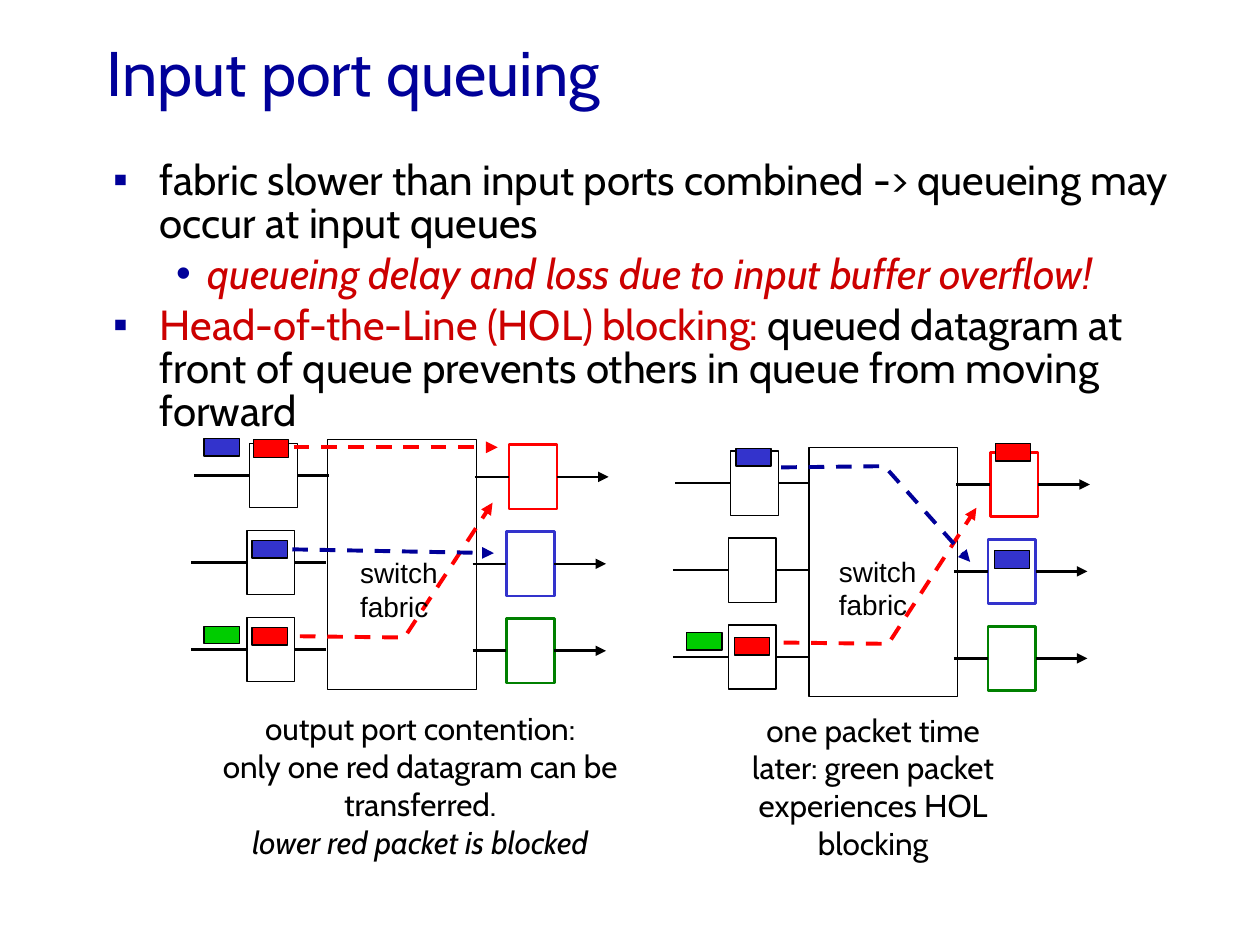
from lxml import etree
from pptx import Presentation
from pptx.dml.color import RGBColor
from pptx.enum.dml import MSO_LINE
from pptx.enum.shapes import MSO_CONNECTOR, MSO_SHAPE
from pptx.enum.text import MSO_ANCHOR, PP_ALIGN
from pptx.oxml.ns import qn
from pptx.util import Inches, Pt

RECT = MSO_SHAPE.RECTANGLE
STRAIGHT = MSO_CONNECTOR.STRAIGHT
DASH = MSO_LINE.DASH
MIDDLE = MSO_ANCHOR.MIDDLE
CENTER = PP_ALIGN.CENTER
LEFT_SIDE, RIGHT_SIDE = 1, 3

BLACK = RGBColor(0, 0, 0)
WHITE = RGBColor(255, 255, 255)
NAVY = RGBColor(0, 0, 0x99)
CRIMSON = RGBColor(0xCC, 0, 0)
RED = RGBColor(255, 0, 0)
BLUE = RGBColor(0x33, 0x33, 0xCC)
GREEN = RGBColor(0, 0x80, 0)
LIME = RGBColor(0, 0xCC, 0)

PORT_W, PORT_H = 0.38, 0.51
# Each row of ports: shift to the right, top, colour of the output port
ROWS = [(0.02, 0.03, RED), (0, 0.72, BLUE), (0, 1.41, GREEN)]


def add_text(shapes, left, top, width, height, wrap=True):
    box = shapes.add_textbox(Inches(left), Inches(top), Inches(width), Inches(height))
    box.text_frame.word_wrap = wrap
    return box.text_frame


def add_run(par, text, size, color=BLACK, font="Cabin", italic=False):
    run = par.add_run()
    run.text = text
    run.font.size = Pt(size)
    run.font.name = font
    run.font.color.rgb = color
    run.font.italic = italic


def add_box(shapes, left, top, width, height, fill=WHITE, edge=BLACK, weight=0.75):
    box = shapes.add_shape(RECT, Inches(left), Inches(top), Inches(width), Inches(height))
    box.shadow.inherit = False
    box.fill.solid()
    box.fill.fore_color.rgb = fill
    box.line.color.rgb = edge
    box.line.width = Pt(weight)
    return box


def add_head(shape):
    line = shape.line._get_or_add_ln()
    etree.SubElement(line, qn("a:tailEnd"), type="triangle")


def add_line(shapes, start, end, color=BLACK, weight=1.5):
    wire = shapes.add_connector(STRAIGHT, *(Inches(n) for n in (*start, *end)))
    etree.SubElement(wire._element.spPr, qn("a:effectLst"))
    wire.line.color.rgb = color
    wire.line.width = Pt(weight)
    return wire


def add_route(shapes, points, color):
    """Draw a dashed arrow, straight or bent, through the points."""
    if len(points) == 2:
        route = add_line(shapes, *points, color, 2.25)
    else:
        spots = [(Inches(x), Inches(y)) for x, y in points]
        path = shapes.build_freeform(*spots[0])
        path.add_line_segments(spots[1:], close=False)
        route = path.convert_to_shape()
        route.shadow.inherit = False
        route.fill.background()
        route.line.color.rgb = color
        route.line.width = Pt(2.25)
    route.line.dash_style = DASH
    add_head(route)


def add_title(shapes, left, top, width, height):
    frame = add_text(shapes, left, top, width, height)
    frame.vertical_anchor = MIDDLE
    add_run(frame.paragraphs[0], "Input port queuing", 36, NAVY)


def add_bullet(par, mark, margin, hang):
    par.line_spacing = 0.85
    par.space_before = Pt(4.8)
    props = par._p.get_or_add_pPr()
    props.set("marL", str(Inches(margin)))
    props.set("indent", str(-Inches(hang)))
    tint = etree.SubElement(props, qn("a:buClr"))
    etree.SubElement(tint, qn("a:srgbClr"), val=str(NAVY))
    etree.SubElement(props, qn("a:buFont"), typeface="Arial")
    etree.SubElement(props, qn("a:buChar"), char=mark)


def add_points(shapes, left, top, width, height):
    frame = add_text(shapes, left, top, width, height)
    first = frame.paragraphs[0]
    add_bullet(first, "▪", 0.37, 0.37)
    add_run(first, "fabric slower than input ports combined -> queueing may "
            "occur at input queues", 24)
    loss = frame.add_paragraph()
    loss.level = 1
    add_bullet(loss, "•", 0.75, 0.25)
    add_run(loss, "queueing delay and loss due to input buffer overflow!",
            24, CRIMSON, italic=True)
    block = frame.add_paragraph()
    add_bullet(block, "▪", 0.37, 0.37)
    add_run(block, "Head-of-the-Line (HOL) blocking:", 24, CRIMSON)
    add_run(block, " queued datagram at front of queue prevents others in queue "
            "from moving forward", 24)


def add_switch(shapes, left, top):
    """Draw the fabric with its input ports, output ports and wires."""
    group = shapes.add_group_shape().shapes
    add_box(group, left + 1.08, top, 1.18, 1.98)
    for shift, drop, color in ROWS:
        x, y = left + shift, top + drop
        mid = y + PORT_H / 2
        source = add_box(group, x + 0.44, y, PORT_W, PORT_H)
        sink = add_box(group, x + 2.5, y + 0.01, PORT_W, PORT_H, edge=color, weight=1.5)
        arrive = add_line(group, (x, mid), (x + 0.44, mid))
        arrive.end_connect(source, LEFT_SIDE)
        enter = add_line(group, (x + 0.82, mid), (x + 1.07, mid))
        enter.begin_connect(source, RIGHT_SIDE)
        leave = add_line(group, (x + 2.23, mid + 0.01), (x + 2.5, mid + 0.01))
        leave.end_connect(sink, LEFT_SIDE)
        depart = add_line(group, (x + 2.88, mid + 0.01), (x + 3.29, mid + 0.01))
        depart.begin_connect(sink, RIGHT_SIDE)
        add_head(depart)


def add_panel(shapes, left, top, packets, routes, label):
    add_switch(shapes, left, top)
    for x, y, color in packets:
        add_box(shapes, left + x, top + y, 0.28, 0.14, fill=color)
    for color, points in routes:
        add_route(shapes, [(left + x, top + y) for x, y in points], color)
    frame = add_text(shapes, left + label[0], top + label[1], 0.82, 0.64, wrap=False)
    add_run(frame.paragraphs[0], "switch", 16, font="Arial")
    add_run(frame.add_paragraph(), "fabric", 16, font="Arial")


def add_caption(shapes, left, top, width, height, lines):
    """Write centred paragraphs; a second string is an italic line below."""
    frame = add_text(shapes, left, top, width, height)
    for i, (text, *notes) in enumerate(lines):
        par = frame.add_paragraph() if i else frame.paragraphs[0]
        par.alignment = CENTER
        add_run(par, text, 18)
        for note in notes:
            par.add_line_break()
            add_run(par, note, 18, italic=True)


def main():
    deck = Presentation()
    deck.slide_width, deck.slide_height = Inches(10), Inches(7.5)
    shapes = deck.slides.add_slide(deck.slide_layouts[6]).shapes

    add_title(shapes, 0.75, 0.32, 8.5, 0.5)
    add_points(shapes, 0.8, 1.23, 8.86, 2.9)

    add_panel(
        shapes, 1.52, 3.49,
        packets=[(0.49, 0, RED), (0.48, 0.8, BLUE), (0.48, 1.49, RED),
                 (0.1, -0.01, BLUE), (0.1, 1.48, LIME)],
        routes=[(RED, [(0.81, 0.06), (2.43, 0.06)]),
                (RED, [(0.86, 1.56), (1.69, 1.57), (2.39, 0.5)]),
                (NAVY, [(0.8, 0.87), (2.4, 0.9)])],
        label=(1.24, 0.87))
    add_caption(shapes, 1.48, 5.58, 3.71, 1.31, [
        ("output port contention:",),
        ("only one red datagram can be transferred.", "lower red packet is blocked")])

    add_panel(
        shapes, 5.34, 3.55,
        packets=[(2.56, -0.03, RED), (0.5, 0.01, BLUE), (0.49, 1.51, RED),
                 (0.11, 1.47, LIME), (2.55, 0.82, BLUE)],
        routes=[(RED, [(0.88, 1.55), (1.71, 1.56), (2.41, 0.48)]),
                (NAVY, [(0.86, 0.16), (1.68, 0.15), (2.36, 0.91)])],
        label=(1.22, 0.8))
    add_caption(shapes, 5.71, 5.59, 2.44, 1.31, [
        ("one packet time later: green packet experiences HOL blocking",)])

    deck.save("out.pptx")


if __name__ == "__main__":
    main()
